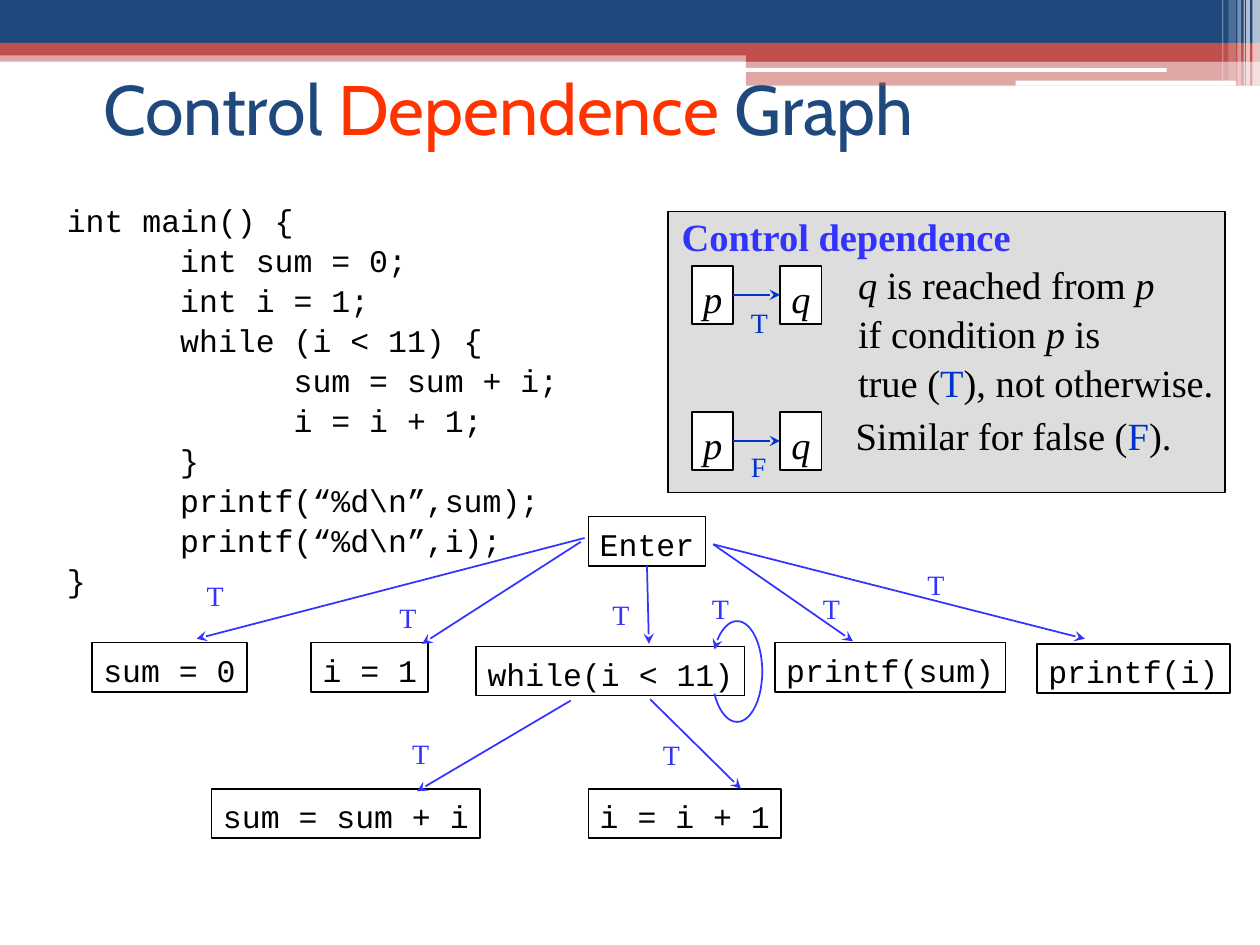
from math import cos, radians, sin
from lxml.etree import SubElement
from pptx import Presentation
from pptx.dml.color import RGBColor
from pptx.enum.shapes import MSO_CONNECTOR, MSO_SHAPE
from pptx.enum.text import MSO_ANCHOR, MSO_AUTO_SIZE, PP_ALIGN
from pptx.oxml.ns import qn
from pptx.util import Inches, Pt

SERIF, MONO = "Times New Roman", "Courier New"
BLACK, WHITE, NAVY, RED = "000000", "FFFFFF", "1F497D", "C0504D"
BLUE, DEEP = "3333FF", "0033CC"


def paint(fill, color, alpha=100):
    fill.solid()
    fill.fore_color.rgb = RGBColor.from_string(color)
    if alpha < 100:
        tint = fill._xPr.find(qn("a:solidFill"))[0]
        SubElement(tint, qn("a:alpha"), val=str(alpha * 1000))


def write(shape, face, size, rows, space=1.06, wrap=False):
    frame = shape.text_frame
    frame.word_wrap = wrap
    frame.auto_size = MSO_AUTO_SIZE.NONE
    frame.vertical_anchor = MSO_ANCHOR.MIDDLE if wrap else MSO_ANCHOR.TOP
    frame.margin_left = frame.margin_right = Inches(0.09)
    frame.margin_top = frame.margin_bottom = Inches(0.05)
    for i, row in enumerate(rows):
        para = frame.add_paragraph() if i else frame.paragraphs[0]
        para.alignment = PP_ALIGN.LEFT
        para.line_spacing = space
        if row[0][0].startswith("\t"):
            tabs = SubElement(para._p.get_or_add_pPr(), qn("a:tabLst"))
            for stop in (0.9, 1.8):
                SubElement(tabs, qn("a:tab"), pos=str(Inches(stop)), algn="l")
        for text, color, style in row:
            run = para.add_run()
            run.text = text
            run.font.name = face
            run.font.size = Pt(size)
            run.font.bold = style == "b"
            run.font.italic = style == "i"
            paint(run.font.fill, color)


deck = Presentation()
deck.slide_width, deck.slide_height = Inches(10), Inches(7.5)
slide = deck.slides.add_slide(deck.slide_layouts[5])
shapes = slide.shapes

RECT, ROUND = MSO_SHAPE.RECTANGLE, MSO_SHAPE.ROUNDED_RECTANGLE
bands = [
    (RECT, 0, 0.4, 10, 0.09, RED, 50),
    (RECT, 0, 0, 10, 0.34, NAVY, 100),
    (RECT, 0, 0.34, 10, 0.1, RED, 100),
    (RECT, 5.92, 0.39, 4.08, 0.1, RED, 100),
    (RECT, 5.92, 0.48, 4.08, 0.2, RED, 50),
    (ROUND, 5.91, 0.54, 3.35, 0.03, WHITE, 100),
    (ROUND, 8.06, 0.64, 1.75, 0.04, WHITE, 100),
    (RECT, 9.94, 0, 0.06, 0.68, WHITE, 65),
    (RECT, 9.89, 0, 0.03, 0.68, WHITE, 65),
    (RECT, 9.87, 0, 0.01, 0.68, WHITE, 60),
    (RECT, 9.82, 0, 0.03, 0.68, WHITE, 40),
    (RECT, 9.75, 0, 0.06, 0.64, WHITE, 20),
    (RECT, 9.7, 0, 0.01, 0.64, WHITE, 30),
]
for kind, x, y, w, h, color, alpha in bands:
    band = shapes.add_shape(kind, Inches(x), Inches(y), Inches(w), Inches(h))
    band.shadow.inherit = False
    band.line.fill.background()
    paint(band.fill, color, alpha)

title = shapes.title
title.left, title.top = Inches(0.73), Inches(0.42)
title.width, title.height = Inches(8.5), Inches(0.87)
write(title, "Cabin", 40, [[("Control ", NAVY, ""), ("Dependence", "FF3300", ""),
                            (" Graph", NAVY, "")]], space=1, wrap=True)

panel = shapes.add_shape(RECT, Inches(5.3), Inches(1.68), Inches(4.42), Inches(2.23))
panel.shadow.inherit = False
paint(panel.fill, "DDDDDD")
paint(panel.line.fill, BLACK)
panel.line.width = Pt(1)

code = """int main() {
\tint sum = 0;
\tint i = 1;
\twhile (i < 11) {
\t\tsum = sum + i;
\t\ti = i + 1;
\t}
\tprintf(“%d\\n”,sum);
\tprintf(“%d\\n”,i);
}"""
notes = [
    (0.44, 1.53, 4.08, 3.09, MONO, 18, [[(row, BLACK, "")] for row in code.split("\n")]),
    (5.32, 1.62, 2.8, 0.46, SERIF, 22, [[("Control dependence", BLUE, "b")]]),
    (6.72, 2, 3, 1.19, SERIF, 22, [
        [("q", BLACK, "i"), (" is reached from ", BLACK, ""), ("p", BLACK, "i")],
        [("if condition ", BLACK, ""), ("p", BLACK, "i"), (" is", BLACK, "")],
        [("true (", BLACK, ""), ("T", DEEP, ""), ("), not otherwise.", BLACK, "")]]),
    (6.7, 3.2, 2.69, 0.46, SERIF, 22, [
        [("Similar for false (", BLACK, ""), ("F", DEEP, ""), (").", BLACK, "")]]),
    (5.87, 2.36, 0.32, 0.36, SERIF, 16, [[("T", DEEP, "")]]),
    (5.87, 3.5, 0.31, 0.36, SERIF, 16, [[("F", DEEP, "")]]),
]
marks = [(3.18, 5.78), (5.17, 5.79), (1.55, 4.53), (3.08, 4.7),
         (6.44, 4.63), (7.27, 4.44), (5.56, 4.63), (4.77, 4.68)]
notes += [(x, y, 0.32, 0.36, SERIF, 16, [[("T", BLUE, "")]]) for x, y in marks]
for x, y, w, h, face, size, rows in notes:
    note = shapes.add_textbox(Inches(x), Inches(y), Inches(w), Inches(h))
    write(note, face, size, rows)

nodes = [
    (4.67, 4.1, 0.93, "Enter"),
    (0.73, 5.1, 1.23, "sum = 0"),
    (2.47, 5.1, 0.93, "i = 1"),
    (3.78, 5.13, 2.13, "while(i < 11)"),
    (6.15, 5.1, 1.83, "printf(sum)"),
    (8.23, 5.11, 1.53, "printf(i)"),
    (1.68, 6.26, 2.13, "sum = sum + i"),
    (4.67, 6.26, 1.53, "i = i + 1"),
]
boxes = [(x, y, w, 0.39, MONO, 18, text, "") for x, y, w, text in nodes]
boxes += [(x, y, 0.33, 0.46, SERIF, 22, text, "i")
          for y in (2.11, 3.27) for x, text in ((5.49, "p"), (6.19, "q"))]
drawn = []
for x, y, w, h, face, size, text, style in boxes:
    box = shapes.add_shape(RECT, Inches(x), Inches(y), Inches(w), Inches(h))
    box.shadow.inherit = False
    if style:
        paint(box.fill, WHITE)
    else:
        box.fill.background()
    paint(box.line.fill, BLACK)
    box.line.width = Pt(1)
    write(box, face, size, [[(text, BLACK, style)]])
    drawn.append(box)
enter = drawn[0]
p1, q1, p2, q2 = drawn[-4:]

edges = [
    (5.82, 2.34, 6.19, 2.34, DEEP, (p1, 3), (q1, 1)),
    (5.82, 3.5, 6.19, 3.5, DEEP, (p2, 3), (q2, 1)),
    (4.64, 4.27, 1.56, 5.07, BLUE, None, None),
    (4.61, 4.3, 3.35, 5.11, BLUE, None, None),
    (5.14, 4.49, 5.15, 5.11, BLUE, (enter, 2), None),
    (5.66, 4.32, 6.77, 5.09, BLUE, None, None),
    (5.66, 4.32, 8.61, 5.07, BLUE, None, None),
    (4.53, 5.56, 3.31, 6.28, BLUE, None, None),
    (5.16, 5.55, 5.88, 6.26, BLUE, None, None),
]
for x1, y1, x2, y2, color, start, end in edges:
    edge = shapes.add_connector(MSO_CONNECTOR.STRAIGHT, Inches(x1), Inches(y1),
                                Inches(x2), Inches(y2))
    if start:
        edge.begin_connect(*start)
    if end:
        edge.end_connect(*end)
    paint(edge.line.fill, color)
    edge.line.width = Pt(1)
    SubElement(edge.line._get_or_add_ln(), qn("a:tailEnd"), type="stealth")
    SubElement(edge._element.spPr, qn("a:effectLst"))

arc = [(Inches(5.85 + 0.2 * cos(radians(a))), Inches(5.33 + 0.4 * sin(radians(a))))
       for a in range(-154, 155, 7)]
pen = shapes.build_freeform(*arc[0])
pen.add_line_segments(arc[1:], close=False)
loop = pen.convert_to_shape()
loop.shadow.inherit = False
loop.fill.background()
paint(loop.line.fill, BLUE)
loop.line.width = Pt(1)
SubElement(loop.line._get_or_add_ln(), qn("a:headEnd"), type="stealth")

deck.save("out.pptx")
